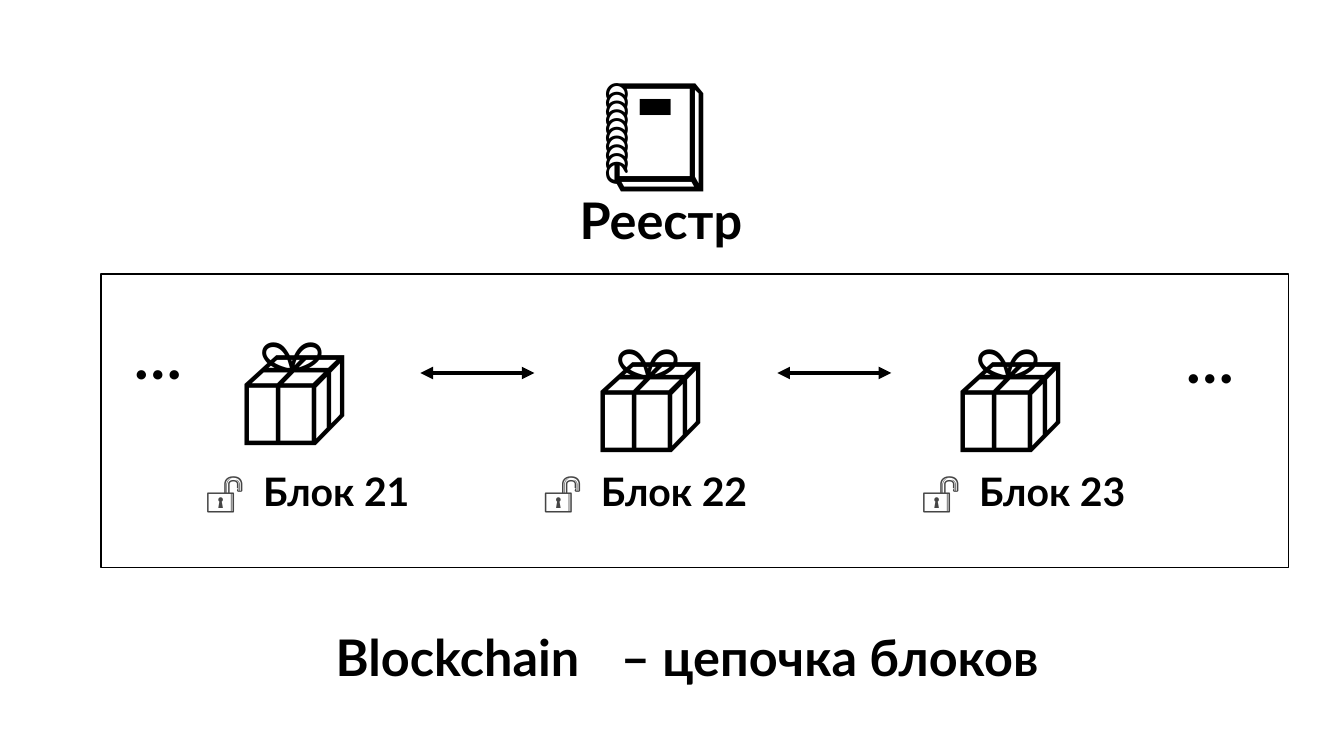
from lxml.etree import SubElement
from pptx import Presentation
from pptx.dml.color import RGBColor
from pptx.enum.shapes import MSO_CONNECTOR, MSO_SHAPE
from pptx.enum.text import MSO_AUTO_SIZE, PP_ALIGN
from pptx.oxml.ns import qn
from pptx.util import Inches, Pt

BLACK = RGBColor(0x00, 0x00, 0x00)
GRAY = RGBColor(0x45, 0x45, 0x45)
WHITE = RGBColor(0xFF, 0xFF, 0xFF)

EMOJI = {"name": "Calibri", "color": BLACK}
BOLD = {"name": "Lato", "bold": True, "color": BLACK}
HEADING = {**BOLD, "size": Pt(36)}
ELLIPSIS = {**BOLD, "size": Pt(44)}
LABEL = {**BOLD, "size": Pt(28)}
LOCK = {**LABEL, "name": "Roboto", "color": GRAY}
PARCEL = {**EMOJI, "size": Pt(80)}
NOTEBOOK = {**EMOJI, "size": Pt(88)}


def add_text(slide, box, runs, align=PP_ALIGN.LEFT, wrap=False, indent=0.1):
    textbox = slide.shapes.add_textbox(*(Inches(length) for length in box))
    frame = textbox.text_frame
    frame.word_wrap = wrap
    frame.auto_size = MSO_AUTO_SIZE.SHAPE_TO_FIT_TEXT
    frame.margin_left = Inches(indent)
    paragraph = frame.paragraphs[0]
    paragraph.alignment = align
    for text, style in runs:
        run = paragraph.add_run()
        run.text = text
        for key, value in style.items():
            if key == "color":
                run.font.color.rgb = value
            else:
                setattr(run.font, key, value)
    return paragraph


def add_ledger(slide, left, top):
    add_text(slide, (left + 0.22, top, 1.44, 1.58), [("📒", NOTEBOOK)])
    add_text(slide, (left, top + 1.38, 1.88, 0.71), [("Реестр", HEADING)])


def add_block(slide, name, parcel_left, parcel_top, label_left, label_top):
    add_text(slide, (parcel_left, parcel_top, 1.32, 1.45), [("📦", PARCEL)])
    label = add_text(slide, (label_left, label_top, 2.41, 0.57),
                     [("🔓\t", LOCK), (name, LABEL)], wrap=True, indent=0.18)
    tabs = SubElement(label._p.get_or_add_pPr(), qn("a:tabLst"))
    SubElement(tabs, qn("a:tab"), pos=str(Inches(0.57)), algn="l")


def add_link(slide, left, top, width):
    link = slide.shapes.add_connector(
        MSO_CONNECTOR.STRAIGHT, Inches(left + width), Inches(top), Inches(left), Inches(top))
    link.line.color.rgb = BLACK
    link.line.width = Pt(3)
    line = link.line._get_or_add_ln()
    for end in ("a:headEnd", "a:tailEnd"):
        SubElement(line, qn(end), type="triangle")
    SubElement(link._element.spPr, qn("a:effectLst"))


def add_chain(slide, left, top, width, height):
    border = slide.shapes.add_shape(
        MSO_SHAPE.RECTANGLE, Inches(left), Inches(top), Inches(width), Inches(height))
    border.shadow.inherit = False
    border.fill.solid()
    border.fill.fore_color.rgb = WHITE
    border.line.color.rgb = BLACK
    border.line.width = Pt(1)
    blocks = [("Блок 21", 1.29, 0.35, 0.86),
              ("Блок 22", 4.82, 0.42, 4.21),
              ("Блок 23", 8.39, 0.42, 7.96)]
    for name, parcel_x, parcel_y, label_x in blocks:
        add_block(slide, name, left + parcel_x, top + parcel_y, left + label_x, top + 1.87)
    for link_x in (3.17, 6.71):
        add_link(slide, left + link_x, top + 0.98, 1.13)
    for dots_x, dots_y in ((0.24, 0.39), (10.67, 0.42)):
        add_text(slide, (left + dots_x, top + dots_y, 0.66, 0.84),
                 [("…", ELLIPSIS)], PP_ALIGN.CENTER)


def add_definition(slide, left, top):
    add_text(slide, (left, top, 2.9, 0.71), [("Blockchain", HEADING)], indent=0.2)
    add_text(slide, (left + 2.93, top, 4.42, 0.71), [("– цепочка блоков", HEADING)])


def main():
    presentation = Presentation()
    presentation.slide_width = Inches(13.33)
    presentation.slide_height = Inches(7.5)
    slide = presentation.slides.add_slide(presentation.slide_layouts[6])
    add_chain(slide, 1, 2.72, 11.78, 2.91)
    add_ledger(slide, 5.65, 0.45)
    add_definition(slide, 3.13, 6.16)
    presentation.save("out.pptx")


if __name__ == "__main__":
    main()
